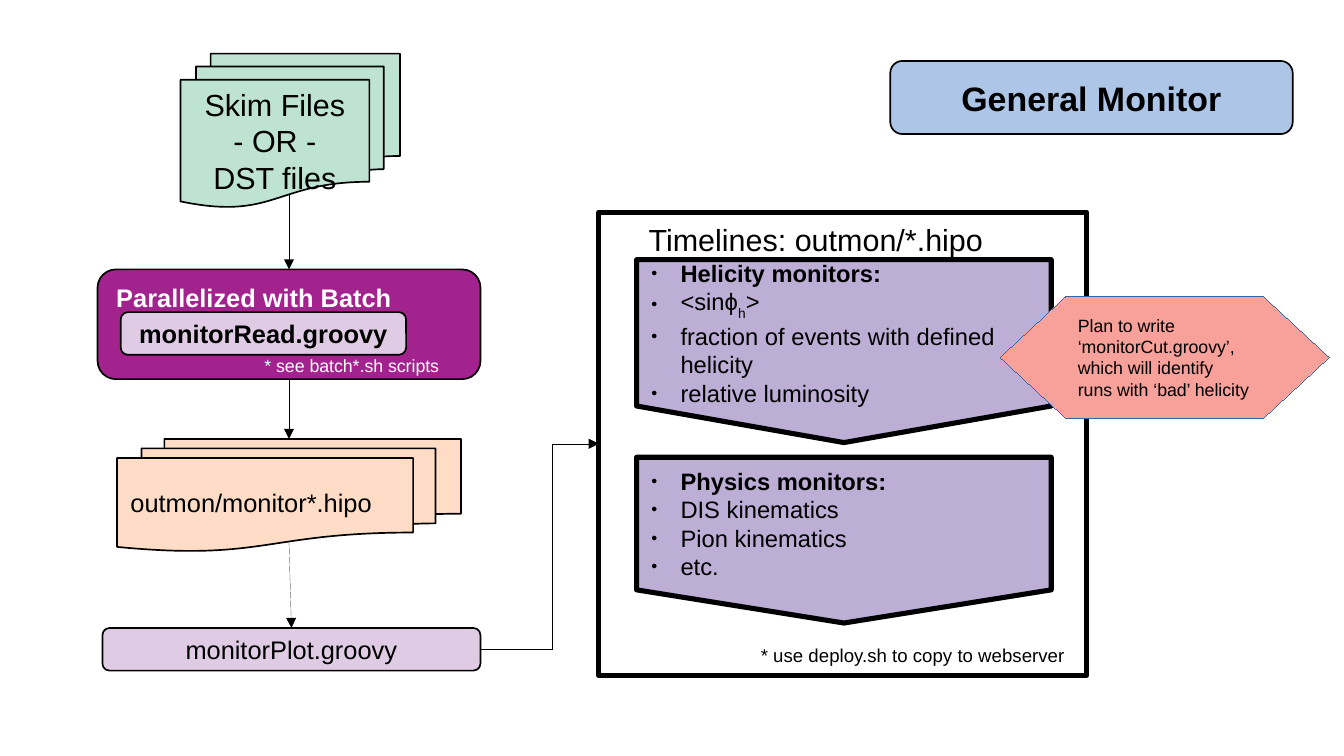
from lxml import etree
from pptx import Presentation
from pptx.dml.color import RGBColor
from pptx.enum.shapes import MSO_CONNECTOR, MSO_SHAPE
from pptx.enum.text import MSO_ANCHOR, PP_ALIGN
from pptx.oxml.ns import qn
from pptx.util import Inches, Pt

ROUNDED = MSO_SHAPE.FLOWCHART_ALTERNATE_PROCESS
STACK = MSO_SHAPE.FLOWCHART_MULTIDOCUMENT
PENTAGON = MSO_SHAPE.FLOWCHART_OFFPAGE_CONNECTOR
HEXAGON = MSO_SHAPE.FLOWCHART_PREPARATION
RECTANGLE = MSO_SHAPE.RECTANGLE
STRAIGHT, ELBOW = MSO_CONNECTOR.STRAIGHT, MSO_CONNECTOR.ELBOW
LEFT, CENTER = PP_ALIGN.LEFT, PP_ALIGN.CENTER
TOP, MIDDLE = MSO_ANCHOR.TOP, MSO_ANCHOR.MIDDLE

BLACK = RGBColor(0x00, 0x00, 0x00)
WHITE = RGBColor(0xFF, 0xFF, 0xFF)
BLUE = RGBColor(0xAD, 0xC5, 0xE7)
GREEN = RGBColor(0xBE, 0xE3, 0xD3)
PURPLE = RGBColor(0xA3, 0x23, 0x8E)
LILAC = RGBColor(0xDF, 0xCC, 0xE4)
PEACH = RGBColor(0xFE, 0xDC, 0xC6)
VIOLET = RGBColor(0xBC, 0xAE, 0xD5)
SALMON = RGBColor(0xF7, 0xA1, 0x9A)
EDGE_BLUE = RGBColor(0x34, 0x65, 0xA4)

# Content
TITLE = "General Monitor"
SKIM = ["Skim Files", "- OR -", "DST files"]
BATCH = ["Parallelized with Batch"]
READ = ["monitorRead.groovy"]
BATCH_NOTE = ["* see batch*.sh scripts"]
HIPO = ["outmon/monitor*.hipo"]
PLOT = ["monitorPlot.groovy"]
TIMELINES = ["Timelines: outmon/*.hipo"]
MONITORS = [  # top, height, lines (a tuple is text, subscript, text)
    (2.13, 1.5, ["Helicity monitors:", ("<sinϕ", "h", ">"),
                 "fraction of events with defined helicity", "relative luminosity"]),
    (3.75, 1.36, ["Physics monitors:", "DIS kinematics", "Pion kinematics", "etc."]),
]
DEPLOY_NOTE = ["* use deploy.sh to copy to webserver"]
PLAN = ["Plan to write ‘monitorCut.groovy’, which will identify runs with ‘bad’ helicity"]

# Layout in inches
FLOW_X = 2.37
PANEL_X, PANEL_W = 5.22, 3.4
TITLE_BOX = (7.3, 0.5, 3.3, 0.6)
SHAPE_INSETS, TEXT_INSETS, PANEL_INSETS = (0.11, 0.06), (0.1, 0.05), (0.12, 0.07)

prs = Presentation()
prs.slide_width, prs.slide_height = Inches(11.02), Inches(6.2)
slide = prs.slides.add_slide(prs.slide_layouts[5])
shapes = slide.shapes


def write(sp, lines, size, color=BLACK, bold=False, align=LEFT, anchor=MIDDLE,
          insets=SHAPE_INSETS, wrap=False):
    tf = sp.text_frame
    tf.word_wrap, tf.vertical_anchor = wrap, anchor
    tf.margin_left = tf.margin_right = Inches(insets[0])
    tf.margin_top = tf.margin_bottom = Inches(insets[1])
    for i, line in enumerate(lines):
        p = tf.paragraphs[0] if i == 0 else tf.add_paragraph()
        p.alignment = align
        for k, part in enumerate(line if isinstance(line, tuple) else (line,)):
            r = p.add_run()
            r.text = part
            r.font.name, r.font.size, r.font.bold = "Arial", Pt(size), bold
            r.font.color.rgb = color
            if k == 1:
                r.font._element.set("baseline", "-33000")


def set_line(sp, color, width):
    sp.line.color.rgb = color
    ln = sp.line._get_or_add_ln()
    ln.set("w", str(Pt(width)))  # keeps an explicit 0 for hairlines
    return ln


def add_box(kind, box, fill, line=BLACK, width=1):
    sp = shapes.add_shape(kind, *map(Inches, box))
    sp.shadow.inherit = False
    if fill is None:
        sp.fill.background()
    else:
        sp.fill.solid()
        sp.fill.fore_color.rgb = fill
    set_line(sp, line, width)
    return sp


def add_note(box, lines, size, color=BLACK):
    sp = shapes.add_textbox(*map(Inches, box))
    write(sp, lines, size, color, anchor=TOP, insets=TEXT_INSETS, wrap=True)


def add_bullet(p):
    pPr = p._p.get_or_add_pPr()
    pPr.set("marL", str(Inches(0.24)))
    pPr.set("indent", str(-Inches(0.24)))
    color = etree.SubElement(pPr, qn("a:buClr"))
    etree.SubElement(color, qn("a:srgbClr"), val=str(BLACK))
    etree.SubElement(pPr, qn("a:buSzPct"), val="45000")
    etree.SubElement(pPr, qn("a:buFont"), typeface="Arial")
    etree.SubElement(pPr, qn("a:buChar"), char="●")


def add_arrow(kind, start, end):
    cxn = shapes.add_connector(kind, *map(Inches, start + end))
    ln = set_line(cxn, BLACK, 0)
    etree.SubElement(ln, qn("a:tailEnd"), type="triangle")
    etree.SubElement(cxn._element.spPr, qn("a:effectLst"))
    return cxn


# Title
add_box(ROUNDED, TITLE_BOX, BLUE)
title = shapes.title
title.left, title.top, title.width, title.height = map(Inches, TITLE_BOX)
write(title, [TITLE], 20, bold=True, align=CENTER)
shapes._spTree.append(title._element)

# Processing chain
skim = add_box(STACK, (1.48, 0.44, 1.8, 1.26), GREEN)
write(skim, SKIM, 18, align=CENTER)
batch = add_box(ROUNDED, (0.8, 2.21, 3.14, 0.9), PURPLE)
write(batch, BATCH, 15, WHITE, bold=True, anchor=TOP)
read = add_box(ROUNDED, (0.99, 2.56, 2.34, 0.35), LILAC)
write(read, READ, 15, bold=True, align=CENTER)
add_note((2.07, 2.86, 1.8, 0.27), BATCH_NOTE, 10.5, WHITE)
hipo = add_box(STACK, (0.96, 3.6, 2.82, 0.92), PEACH)
write(hipo, HIPO, 15)
plot = add_box(ROUNDED, (0.84, 5.15, 3.1, 0.35), LILAC)
write(plot, PLOT, 15, align=CENTER)

# Arrows down the chain
add_arrow(STRAIGHT, (FLOW_X, 1.6), (FLOW_X, 2.21)).end_connect(batch, 0)
add_arrow(STRAIGHT, (FLOW_X, 3.11), (FLOW_X, 3.6)).begin_connect(batch, 2)
add_arrow(STRAIGHT, (FLOW_X, 4.45), (2.39, 5.15)).end_connect(plot, 0)

# Timelines panel
for top, height, lines in MONITORS:
    panel = add_box(PENTAGON, (PANEL_X, top, PANEL_W, height), VIOLET, width=3)
    write(panel, lines, 14, insets=PANEL_INSETS, wrap=True)
    for p in panel.text_frame.paragraphs:
        add_bullet(p)
    panel.text_frame.paragraphs[0].runs[0].font.bold = True
frame = add_box(RECTANGLE, (4.91, 1.74, 4, 3.8), None, width=3)
add_note((PANEL_X, 1.76, 3.3, 0.38), TIMELINES, 18)
add_note((6.14, 5.23, 2.8, 0.27), DEPLOY_NOTE, 11)

# Plan
plan = add_box(HEXAGON, (8.2, 2.43, 2.7, 1), SALMON, EDGE_BLUE, 0)
write(plan, PLAN, 10.5, insets=TEXT_INSETS, wrap=True)

# Elbow from the plot step to the timelines
elbow = add_arrow(ELBOW, (3.94, 5.33), (4.91, 3.64))
elbow.begin_connect(plot, 3)
elbow.end_connect(frame, 1)
guides = elbow._element.spPr.find(qn("a:prstGeom")).get_or_add_avLst()
etree.SubElement(guides, qn("a:gd"), name="adj1", fmla="val 60500")

prs.save("out.pptx")
